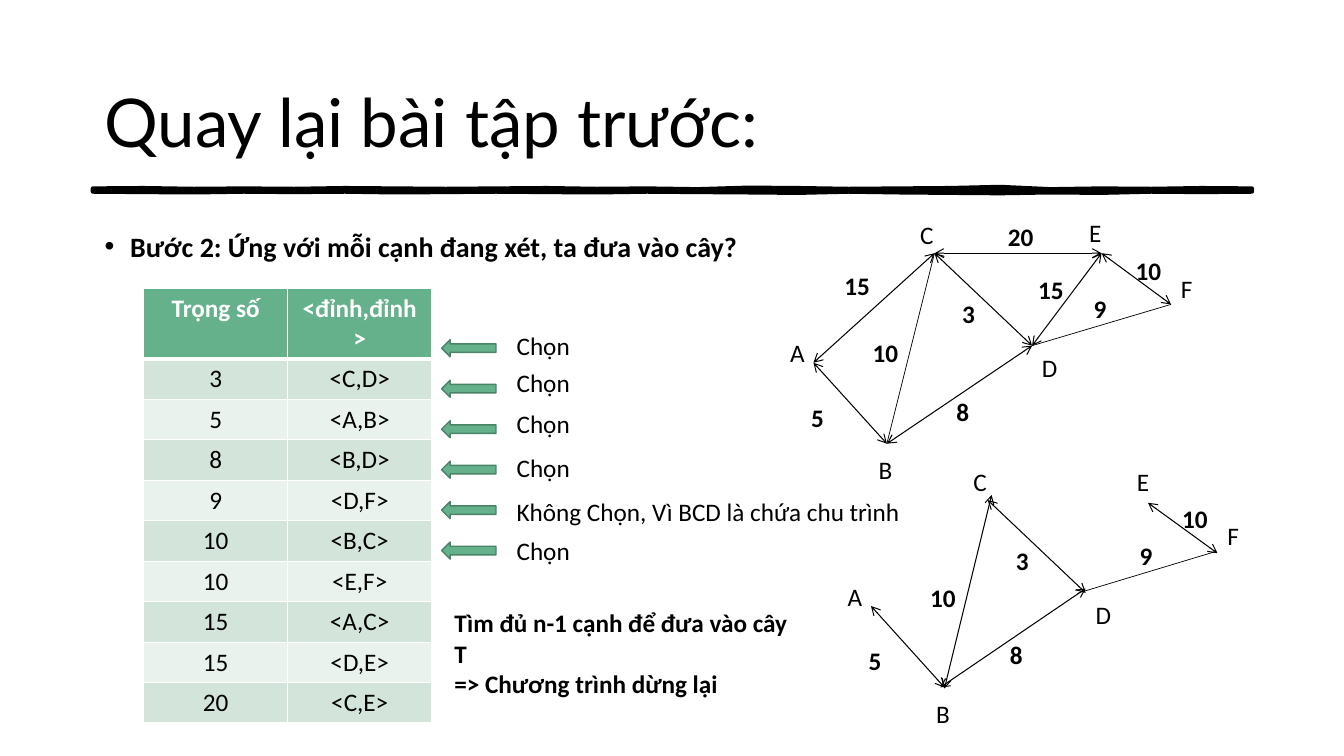
from lxml import etree
from pptx import Presentation, util as u
from pptx.dml.color import RGBColor
from pptx.enum import shapes, text
from pptx.oxml import ns

BLACK, WHITE = "000000", "FFFFFF"
GREEN, DARK_GREEN = "64B18C", "4A8368"
BANDS = ("D3E4DA", "EAF2EE")


def color(value):
    return RGBColor.from_string(value)


def child(parent, tag, **attributes):
    return etree.SubElement(parent, ns.qn(tag), attributes)


class SlideBuilder:
    font = "Calibri"
    size = 18

    def __init__(self, presentation):
        self.slide = presentation.slides.add_slide(presentation.slide_layouts[6])
        self.shapes = self.slide.shapes

    def run(self, paragraph, content, bold=False, size=None, font=None, ink=BLACK):
        run = paragraph.add_run()
        run.text = content
        run.font.name = font or self.font
        run.font.size = u.Pt(size or self.size)
        run.font.bold = bold
        run.font.color.rgb = color(ink)

    def text(self, left, top, width, height, lines, wrap=False, inset=None,
             anchor=text.MSO_ANCHOR.TOP, **style):
        frame = self.shapes.add_textbox(
            u.Cm(left), u.Cm(top), u.Cm(width), u.Cm(height)).text_frame
        frame.word_wrap = wrap
        frame.vertical_anchor = anchor
        if inset:
            frame.margin_left = frame.margin_right = frame.margin_top = u.Cm(inset)
        for index, line in enumerate(lines):
            paragraph = frame.add_paragraph() if index else frame.paragraphs[0]
            self.run(paragraph, line, **style)
        return frame.paragraphs[0]

    def bullet(self, paragraph, indent):
        properties = paragraph._p.get_or_add_pPr()
        properties.set("marL", str(u.Cm(indent)))
        properties.set("indent", str(-u.Cm(indent)))
        child(properties, "a:buFont", typeface="Arial")
        child(properties, "a:buChar", char="•")

    def label(self, content, left, top):
        width = 0.85 if len(content) == 1 else 1.15
        self.text(left, top, width, 1.02, [content], bold=content.isdigit())

    def edge(self, start, end, arrows=True):
        connector = self.shapes.add_connector(
            shapes.MSO_CONNECTOR.STRAIGHT, *(u.Cm(value) for value in (*start, *end)))
        connector.line.color.rgb = color(BLACK)
        connector.line.width = u.Pt(0.75 if arrows else 0.5)
        if arrows:
            line = connector.line._get_or_add_ln()
            child(line, "a:headEnd", type="arrow")
            child(line, "a:tailEnd", type="arrow")
        child(connector._element.spPr, "a:effectLst")

    def paint(self, shape, fill, line, width):
        shape.shadow.inherit = False
        shape.fill.solid()
        shape.fill.fore_color.rgb = color(fill)
        shape.line.color.rgb = color(line)
        shape.line.width = u.Pt(width)

    def left_arrow(self, left, top, width, height):
        shape = self.shapes.add_shape(
            shapes.MSO_SHAPE.LEFT_ARROW, u.Cm(left), u.Cm(top), u.Cm(width), u.Cm(height))
        self.paint(shape, GREEN, DARK_GREEN, 1)

    def brush_stroke(self, left, top, width, upper, lower):
        step = width / (len(upper) - 1)
        points = [(u.Cm(left + step * i), u.Cm(top + y)) for i, y in enumerate(upper)]
        points += [(u.Cm(left + step * i), u.Cm(top + y)) for i, y in enumerate(lower)][::-1]
        builder = self.shapes.build_freeform(*points[0])
        builder.add_line_segments(points[1:], close=True)
        self.paint(builder.convert_to_shape(), BLACK, BLACK, 3)

    def cell(self, cell, content, fill, header):
        cell.fill.solid()
        cell.fill.fore_color.rgb = color(fill)
        paragraph = cell.text_frame.paragraphs[0]
        paragraph.alignment = text.PP_ALIGN.CENTER
        self.run(paragraph, content, bold=header, ink=WHITE if header else BLACK)
        properties = cell._tc.get_or_add_tcPr()
        for index, side in enumerate("LRTB"):
            width = 3 if header and side == "B" else 1
            border = child(properties, f"a:ln{side}", w=str(u.Pt(width)))
            child(child(border, "a:solidFill"), "a:srgbClr", val=WHITE)
            properties.insert(index, border)

    def table(self, left, top, column_width, header_height, row_height, rows):
        columns = len(rows[0])
        table = self.shapes.add_table(
            len(rows), columns, u.Cm(left), u.Cm(top), u.Cm(column_width * columns),
            u.Cm(header_height + row_height * (len(rows) - 1))).table
        for column in table.columns:
            column.width = u.Cm(column_width)
        for index, row in enumerate(rows):
            table.rows[index].height = u.Cm(row_height if index else header_height)
            fill = BANDS[(index - 1) % 2] if index else GREEN
            for column, content in enumerate(row):
                self.cell(table.cell(index, column), content, fill, index == 0)


NODES = {"A": (20.5, 9.14), "B": (22.35, 11.18), "C": (23.55, 6.38),
         "D": (26.01, 8.71), "E": (27.76, 6.38), "F": (29.51, 7.67)}
ARROW_EDGES = ("AC", "BA", "CE", "FE", "DC", "DE", "BD")
PLAIN_EDGES = ("BC", "DF")
TREE_EDGES = [
    ((27.36, 14.94), (24.89, 12.6), True),
    ((23.8, 17.32), (21.95, 15.27), True),
    ((23.7, 17.32), (27.36, 14.83), True),
    ((27.18, 14.94), (30.66, 13.89), False),
    ((30.68, 13.94), (28.93, 12.67), True),
    ((23.8, 17.35), (24.99, 12.47), True),
]
GRAPH_LABELS = [
    ("A", 19.66, 8.38), ("B", 21.89, 11.33), ("C", 22.94, 5.41),
    ("D", 26.01, 8.76), ("E", 27.2, 5.36), ("F", 29.51, 6.76),
    ("20", 25.15, 5.44), ("15", 21.03, 6.68), ("10", 21.74, 8.38),
    ("5", 20.19, 10.01), ("3", 24, 7.39), ("8", 23.85, 9.86),
    ("9", 27.31, 7.26), ("15", 25.91, 6.78), ("10", 28.37, 6.3),
]
TREE_LABELS = [
    ("A", 21.11, 14.53), ("B", 23.34, 17.48), ("C", 24.28, 11.63),
    ("D", 27.36, 14.99), ("E", 28.4, 11.63), ("F", 30.68, 12.98),
    ("3", 25.35, 13.61), ("5", 21.64, 16.13), ("8", 25.2, 15.98),
    ("9", 28.47, 13.49), ("10", 29.54, 12.55), ("10", 23.19, 14.55),
]
WEIGHTS = [("Trọng số", "<đỉnh,đỉnh>"), ("3", "<C,D>"), ("5", "<A,B>"),
           ("8", "<B,D>"), ("9", "<D,F>"), ("10", "<B,C>"), ("10", "<E,F>"),
           ("15", "<A,C>"), ("15", "<D,E>"), ("20", "<C,E>")]
CHOSEN = "Chọn"
DECISIONS = [(CHOSEN, 8.2), (CHOSEN, 9.14), (CHOSEN, 10.16), (CHOSEN, 11.28),
             ("Không Chọn, Vì BCD là chứa chu trình", 12.37), (CHOSEN, 13.36)]
STROKE_TOP = (0, -0.01, 0.01, 0, 0.01, -0.01, 0, 0.01, 0, -0.01, 0.01, 0,
              0.02, -0.02, -0.01, 0.01, 0, -0.01, -0.04, 0.02, 0, 0.01, -0.01, 0)
STROKE_BOTTOM = (0.08, 0.09, 0.1, 0.08, 0.09, 0.08, 0.1, 0.09, 0.08, 0.09, 0.1, 0.08,
                 0.09, 0.1, 0.11, 0.08, 0.1, 0.11, 0.12, 0.1, 0.11, 0.08, 0.09, 0.08)


def main():
    presentation = Presentation()
    presentation.slide_width, presentation.slide_height = u.Cm(33.87), u.Cm(19.05)
    builder = SlideBuilder(presentation)
    builder.brush_stroke(2.34, 4.75, 29.21, STROKE_TOP, STROKE_BOTTOM)
    title = builder.text(2.34, 1.02, 29.21, 3.68, ["Quay lại bài tập trước:"], wrap=True,
                         inset=0.3, anchor=text.MSO_ANCHOR.MIDDLE, size=48, font="Lato")
    title.line_spacing = 1.1
    step = builder.text(2.34, 5.36, 29.21, 11.81,
                        ["Bước 2: Ứng với mỗi cạnh đang xét, ta đưa vào cây?"],
                        wrap=True, inset=0.3, size=20, bold=True)
    step.line_spacing = 1.14
    step.space_before = u.Pt(10)
    builder.bullet(step, 0.64)
    for first, second in ARROW_EDGES:
        builder.edge(NODES[first], NODES[second])
    for first, second in PLAIN_EDGES:
        builder.edge(NODES[first], NODES[second], arrows=False)
    for start, end, arrows in TREE_EDGES:
        builder.edge(start, end, arrows)
    for content, left, top in GRAPH_LABELS + TREE_LABELS:
        builder.label(content, left, top)
    builder.table(3.62, 7.26, 3.63, 1.78, 1.02, WEIGHTS)
    for index, (decision, top) in enumerate(DECISIONS):
        builder.left_arrow(11.13, 8.56 + 1.02 * index, 1.37, 0.43)
        width = 1.85 if decision == CHOSEN else 10.16
        builder.text(12.77, top, width, 1.02, [decision])
    builder.text(11.2, 15.19, 9.02, 1.8,
                 ["Tìm đủ n-1 cạnh để đưa vào cây T", "=> Chương trình dừng lại"],
                 wrap=True, bold=True)
    presentation.save("out.pptx")


if __name__ == "__main__":
    main()
